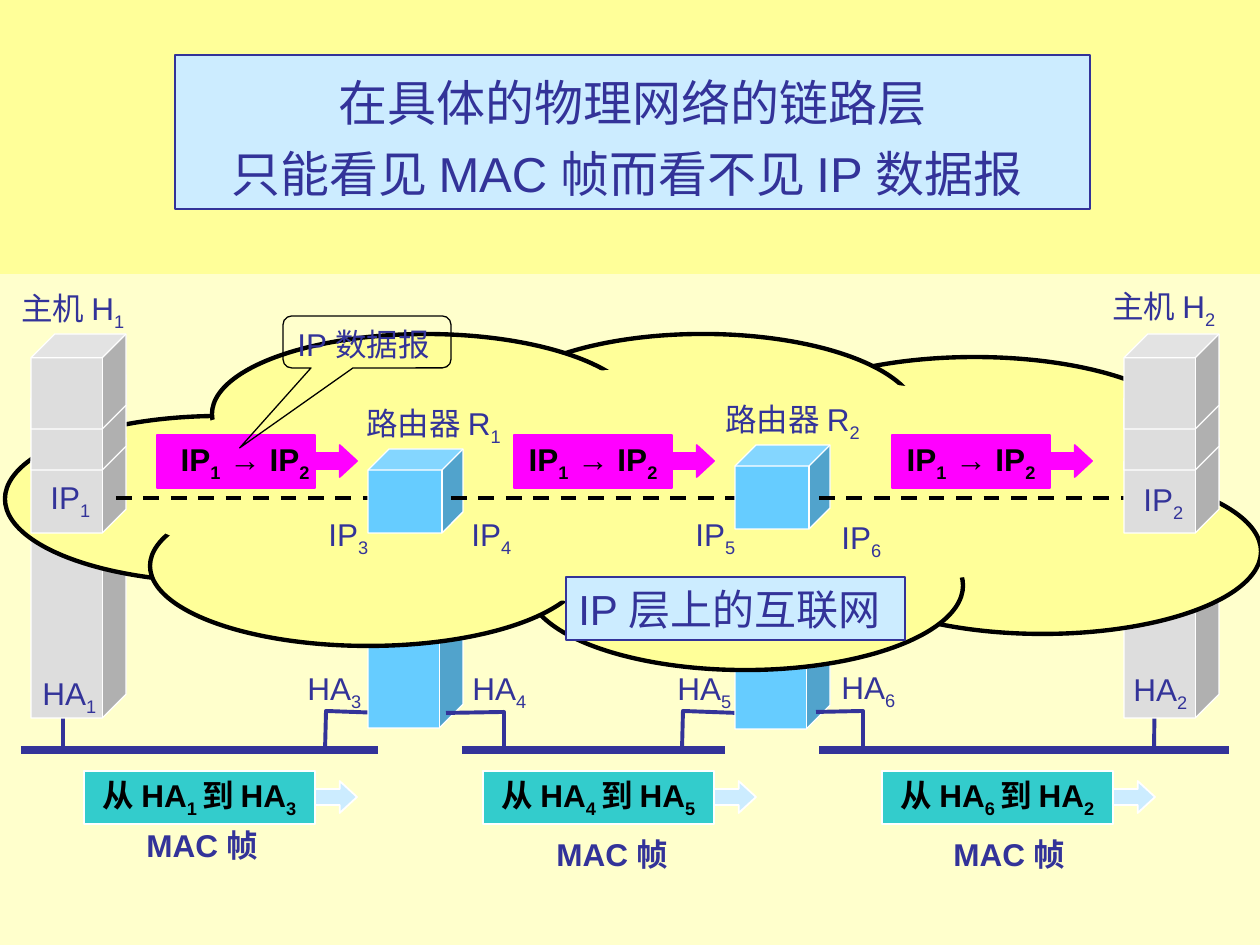
from dataclasses import dataclass

from lxml import etree
from pptx import Presentation
from pptx import util as u
from pptx.dml.color import RGBColor
from pptx.enum import dml, shapes, text
from pptx.oxml.ns import qn

PX = 914400 / 126
SHAPE = shapes.MSO_SHAPE


@dataclass(frozen=True)
class Theme:
    font: str = "Arial"
    title: int = 28
    heading: int = 24
    body: int = 18
    hairline: float = 0.75
    outline: float = 1
    wire: float = 2.25
    cloud_line: float = 2.5
    bus: float = 4.5
    background: str = "FFFFCC"
    band: str = "FFFF99"
    panel: str = "CCECFF"
    navy: str = "333399"
    black: str = "000000"
    white: str = "FFFFFF"
    host: str = "DDDDDD"
    router: str = "66CCFF"
    packet: str = "FF00FF"
    frame: str = "33CCCC"


T = Theme()


@dataclass(frozen=True)
class Box:
    left: int
    top: int
    width: int
    height: int

    def inner(self, dx, dy, width, height):
        return Box(self.left + dx, self.top + dy, width, height)

    def emu(self):
        return [px(v) for v in (self.left, self.top, self.width, self.height)]


def px(value):
    return u.Emu(round(value * PX))


def rgb(value):
    return RGBColor.from_string(value)


def block(slide, kind, box, fill=None, line=None, width=T.hairline, adjust=()):
    shape = slide.shapes.add_shape(kind, *box.emu())
    shape.shadow.inherit = False
    if fill:
        shape.fill.solid()
        shape.fill.fore_color.rgb = rgb(fill)
    else:
        shape.fill.background()
    if line:
        shape.line.color.rgb = rgb(line)
        shape.line.width = u.Pt(width)
    else:
        shape.line.fill.background()
    for i, value in enumerate(adjust):
        shape.adjustments[i] = value
    return shape


def write(shape, lines, size=T.body, color=T.navy, bold=False, centred=False,
          middle=False, spacing=None):
    """Fill a shape with lines; pieces between bars alternate normal and subscript."""
    frame = shape.text_frame
    frame.word_wrap = False
    frame.auto_size = (text.MSO_AUTO_SIZE.NONE if middle
                       else text.MSO_AUTO_SIZE.SHAPE_TO_FIT_TEXT)
    frame.vertical_anchor = text.MSO_ANCHOR.MIDDLE if middle else text.MSO_ANCHOR.TOP
    for i, line in enumerate(lines):
        paragraph = frame.add_paragraph() if i else frame.paragraphs[0]
        paragraph.alignment = text.PP_ALIGN.CENTER if centred else text.PP_ALIGN.LEFT
        paragraph.line_spacing = spacing
        for j, piece in enumerate(line.split("|")):
            run = paragraph.add_run()
            run.text = piece
            run.font.name, run.font.size, run.font.bold = T.font, u.Pt(size), bold
            run.font.color.rgb = rgb(color)
            if j % 2:
                run._r.get_or_add_rPr().set("baseline", "-25000")


def label(slide, box, line, bold=False):
    write(slide.shapes.add_textbox(*box.emu()), [line], bold=bold)


def straight(slide, start, end, color, width, dashed=False):
    line = slide.shapes.add_connector(
        shapes.MSO_CONNECTOR.STRAIGHT, *[px(v) for v in (*start, *end)])
    line.line.color.rgb = rgb(color)
    line.line.width = u.Pt(width)
    if dashed:
        line.line.dash_style = dml.MSO_LINE.DASH
    etree.SubElement(line._element.spPr, qn("a:effectLst"))


def tap(slide, box, offsets):
    """Wire from a bus up to a device; offsets count from the bus's left end."""
    points = [(box.left + dx, box.top + dy) for dx, dy in offsets]
    if len(points) == 2:
        straight(slide, *points, T.navy, T.wire)
        return
    builder = slide.shapes.build_freeform(*points[0], scale=PX)
    builder.add_line_segments(points[1:], close=False)
    wire = builder.convert_to_shape()
    wire.shadow.inherit = False
    wire.fill.background()
    wire.line.color.rgb = rgb(T.navy)
    wire.line.width = u.Pt(T.wire)


def cube(slide, box, fill):
    block(slide, SHAPE.CUBE, box, fill, T.white, adjust=[0.25])


def host(slide, box):
    for dy in (104, 41, 0):
        cube(slide, box.inner(0, dy, box.width, box.width), T.host)


def router(slide, box):
    cube(slide, box, T.router)


def node_labels(slide, box, labels):
    widths = {"IP": 68, "HA": 82, "主机 H": 146, "路由器 R": 177}
    for line, dx, dy in labels:
        label(slide, box.inner(dx, dy, widths[line.split("|")[0]], 55), line)


def cloud(slide, box):
    lobes = [(819, 135, 437, 165), (0, 82, 430, 166), (751, 23, 437, 160),
             (522, 167, 436, 169), (145, 152, 436, 160), (483, 0, 430, 166),
             (207, 0, 428, 160)]
    for lobe in lobes:
        block(slide, SHAPE.OVAL, box.inner(*lobe), T.band, T.black, T.cloud_line)
    block(slide, SHAPE.OVAL, box.inner(115, 36, 1042, 232), T.band)


def arrow_card(slide, box, line, fill, edge, arrow_fill, indent=0):
    """Bold caption on a bar, with an arrow leaving its right side."""
    card = block(slide, SHAPE.RECTANGLE, box, fill, edge, T.outline)
    write(card, [line], color=T.black, bold=True, centred=True, middle=True)
    card.text_frame.margin_left += px(indent)
    block(slide, SHAPE.RIGHT_ARROW, box.inner(box.width, 10, 42, 32),
          arrow_fill, edge, T.outline, [0.5, 0.542])


def callout(slide, box, line):
    block(slide, SHAPE.ROUNDED_RECTANGULAR_CALLOUT, box, line=T.black,
          adjust=[-0.758, 2.038, 0.167])
    label(slide, box.inner(2, 3, 165, 50), line)


def panel(slide, box, lines, size, **layout):
    write(block(slide, SHAPE.RECTANGLE, box, T.panel, T.navy), lines, size, **layout)


def title_band(slide, box):
    block(slide, SHAPE.RECTANGLE, box, T.band)
    panel(slide, box.inner(175, 55, 915, 154),
          ["在具体的物理网络的链路层", "只能看见 MAC 帧而看不见 IP 数据报 "],
          T.title, centred=True, spacing=1.2)


# Each bus: box, taps behind the devices, taps in front of them
BUSES = [
    (Box(21, 750, 357, 0), [[(42, 0), (42, -73)], [(304, 0), (305, -39), (360, -37)]], []),
    (Box(462, 750, 263, 0), [[(220, 0), (221, -39), (275, -37)]],
     [[(42, 0), (42, -38), (-16, -37)]]),
    (Box(819, 750, 410, 0), [[(335, 0), (336, -73)]], [[(44, 0), (44, -39), (-3, -38)]]),
]
# Each device: draw function, box, column top and height, colour, labels
NODES = [
    (host, Box(31, 334, 95, 199), 122, 262, T.host,
     [("主机 H|1", -22, -51), ("IP|1", 7, 138), ("HA|1", -1, 334)]),
    (router, Box(368, 449, 95, 84), 17, 262, T.router,
     [("路由器 R|1", -14, -51), ("IP|3", -52, 60), ("IP|4", 91, 60),
      ("HA|3", -73, 214), ("HA|4", 92, 214)]),
    (router, Box(735, 445, 95, 84), 53, 231, T.router,
     [("路由器 R|2", -22, -51), ("IP|5", -52, 64), ("IP|6", 94, 67),
      ("HA|5", -70, 218), ("HA|6", 94, 217)]),
    (host, Box(1124, 334, 95, 199), 122, 262, T.host,
     [("主机 H|2", -24, -53), ("IP|2", 7, 140), ("HA|2", -3, 330)]),
]
HOPS = [(116, 378), (451, 735), (819, 1124)]
PACKETS = [(157, 18), (514, 0), (892, 0)]
FRAMES = [("1", "3", 50, 49), ("4", "5", 61, 58), ("6", "2", 59, 58)]


def network(slide):
    for bus, behind, _ in BUSES:
        for offsets in behind:
            tap(slide, bus, offsets)
    for _, box, dy, height, color, _ in NODES:
        cube(slide, box.inner(0, dy, box.width, height), color)
    cloud(slide, Box(5, 334, 1256, 336))
    for i, (draw, box, _, _, _, labels) in enumerate(NODES):
        draw(slide, box)
        node_labels(slide, box, labels)
        if i < len(HOPS):
            start, end = HOPS[i]
            straight(slide, (start, 498), (end, 498), T.black, T.wire, dashed=True)
    for bus, _, front in BUSES:
        straight(slide, (bus.left, bus.top), (bus.left + bus.width, bus.top), T.navy, T.bus)
        for offsets in front:
            tap(slide, bus, offsets)
    panel(slide, Box(566, 577, 339, 63), ["IP 层上的互联网"], T.heading)


def traffic(slide):
    for left, indent in PACKETS:
        arrow_card(slide, Box(left, 435, 158, 53), "IP|1| → IP|2",
                   T.packet, T.packet, T.packet, indent)
    for i, (source, target, dx, dy) in enumerate(FRAMES):
        box = Box(84 + 399 * i, 771, 231, 53)
        arrow_card(slide, box, f"从 HA|{source} |到 HA|{target}", T.frame, T.white, T.panel)
        label(slide, box.inner(dx, dy, 145, 50), "MAC 帧", bold=True)
    callout(slide, Box(283, 316, 168, 52), "IP 数据报")


def main():
    deck = Presentation()
    deck.slide_width, deck.slide_height = px(1260), px(945)
    slide = deck.slides.add_slide(deck.slide_layouts[6])
    slide.background.fill.solid()
    slide.background.fill.fore_color.rgb = rgb(T.background)
    network(slide)
    traffic(slide)
    title_band(slide, Box(0, 0, 1260, 274))
    deck.save("out.pptx")


if __name__ == "__main__":
    main()
